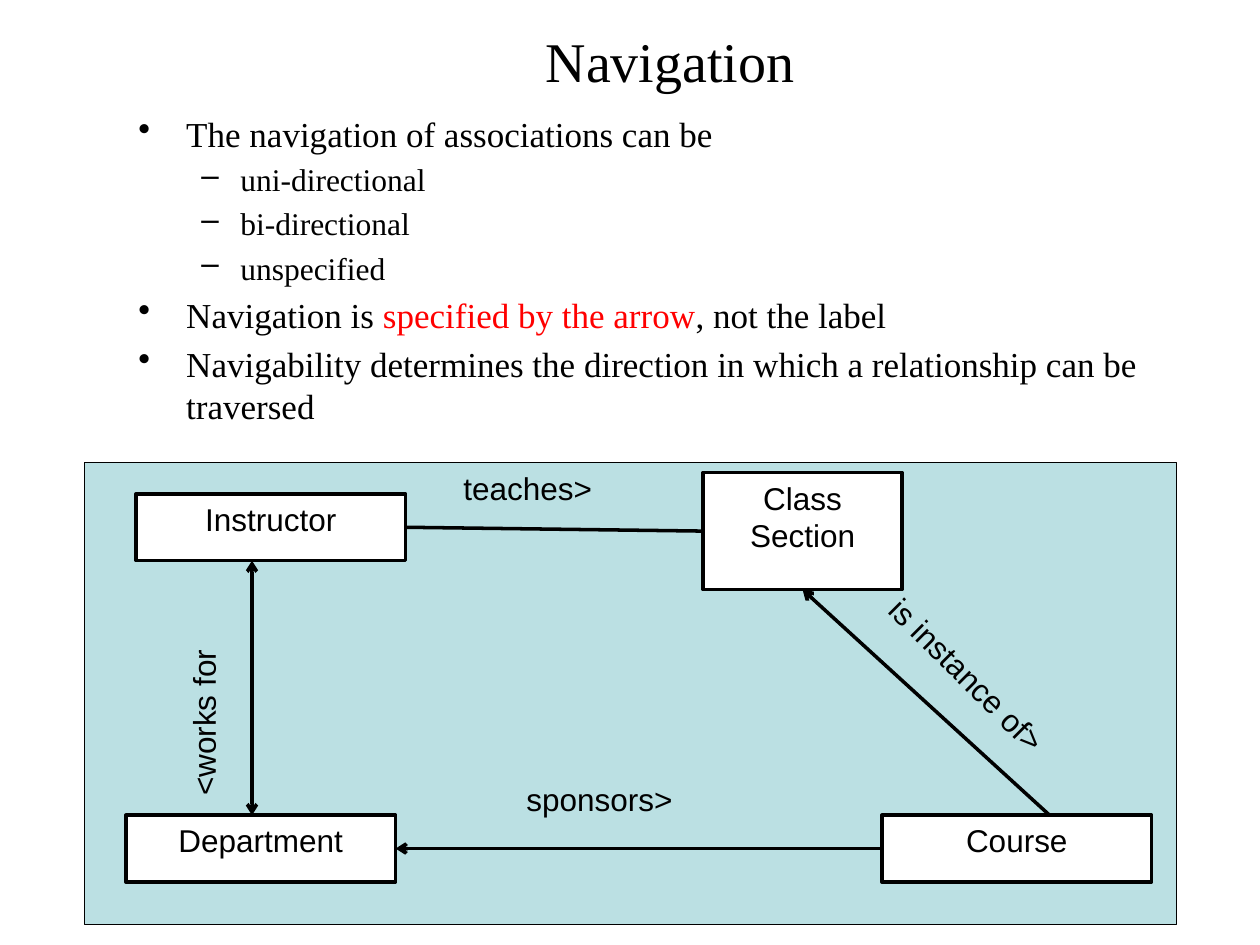
from lxml import etree
from pptx import Presentation
from pptx.dml.color import RGBColor
from pptx.enum import shapes, text
from pptx.oxml.ns import qn
from pptx.util import Inches, Pt

BLACK = RGBColor(0x00, 0x00, 0x00)
WHITE = RGBColor(0xFF, 0xFF, 0xFF)
RED = RGBColor(0xFF, 0x00, 0x00)
PALE_TEAL = RGBColor(0xBB, 0xE0, 0xE3)
SERIF, SANS = "Times New Roman", "Arial"
TOP, LEFT, BOTTOM, RIGHT = range(4)

# Content: bullets are (level, [(words, colour), ...])
TITLE = "Navigation"
BULLETS = [
    (0, [("The navigation of associations can be", BLACK)]),
    (1, [("uni-directional", BLACK)]),
    (1, [("bi-directional", BLACK)]),
    (1, [("unspecified", BLACK)]),
    (0, [("Navigation is ", BLACK), ("specified by the arrow", RED),
         (", not the label", BLACK)]),
    (0, [("Navigability determines the direction in which a relationship "
          "can be traversed", BLACK)]),
]
# Per level: bullet, size, left margin, hanging indent
LEVELS = [("•", 20, 0.38, 0.38), ("–", 18, 0.81, 0.31)]

CLASSES = {  # name: left, top, width, height
    "Class Section": (5.58, 3.75, 1.58, 0.93),
    "Course": (7, 6.47, 2.14, 0.53),
    "Instructor": (1.08, 3.92, 2.14, 0.53),
    "Department": (1, 6.47, 2.14, 0.53),
}
# Each end is a point or a (class, side) pair; then the ends with arrowheads
ASSOCIATIONS = [
    (("Class Section", LEFT), ("Instructor", RIGHT), ()),
    (("Course", LEFT), ("Department", RIGHT), ("tailEnd",)),
    ((2, 4.45), (2, 6.47), ("headEnd", "tailEnd")),
    ((8.33, 6.47), ("Class Section", BOTTOM), ("tailEnd",)),
]
LABELS = [  # words, left, top, width, rotation
    ("teaches>", 3.58, 3.67, 1.56, 0),
    ("sponsors>", 4.08, 6.14, 1.75, 0),
    ("<works for", 0.79, 5.29, 1.75, 270),
    ("is instance of>", 6.66, 5.33, 2.34, 44.9),
]


def set_font(font, name, size, colour=BLACK):
    font.name, font.size = name, Pt(size)
    font.color.rgb = colour


def add_text(page, place, words="", name=SANS, size=18):
    box = page.shapes.add_textbox(*map(Inches, place))
    box.text_frame.word_wrap = True
    para = box.text_frame.paragraphs[0]
    para.text = words
    set_font(para.font, name, size)
    return box


def add_rectangle(page, place, fill, line_width):
    box = page.shapes.add_shape(shapes.MSO_SHAPE.RECTANGLE, *map(Inches, place))
    box.shadow.inherit = False
    box.fill.solid()
    box.fill.fore_color.rgb = fill
    box.line.color.rgb = BLACK
    box.line.width = Pt(line_width)
    return box


def add_bullets(frame):
    for index, (level, runs) in enumerate(BULLETS):
        bullet, size, margin, hang = LEVELS[level]
        para = frame.add_paragraph() if index else frame.paragraphs[0]
        para.level = level
        para.space_before = Pt(size * 0.2)
        props = para._p.get_or_add_pPr()
        props.set("marL", str(Inches(margin)))
        props.set("indent", str(-Inches(hang)))
        etree.SubElement(props, qn("a:buChar"), char=bullet)
        for words, colour in runs:
            span = para.add_run()
            span.text = words
            set_font(span.font, SERIF, size, colour)


def add_association(page, boxes, start, end, arrows):
    line = page.shapes.add_connector(shapes.MSO_CONNECTOR.STRAIGHT, 0, 0, 0, 0)
    if start[0] in boxes:
        line.begin_connect(boxes[start[0]], start[1])
    else:
        line.begin_x, line.begin_y = map(Inches, start)
    if end[0] in boxes:
        line.end_connect(boxes[end[0]], end[1])
    else:
        line.end_x, line.end_y = map(Inches, end)
    line.line.color.rgb = BLACK
    line.line.width = Pt(2)
    for arrow in arrows:
        etree.SubElement(line.line._get_or_add_ln(), qn("a:" + arrow), type="arrow")
    etree.SubElement(line._element.spPr, qn("a:effectLst"))


def main():
    deck = Presentation()
    deck.slide_width, deck.slide_height = Inches(10), Inches(7.5)
    page = deck.slides.add_slide(deck.slide_layouts[6])

    # Title and bullets
    title = add_text(page, (1, 0, 8.64, 0.95), TITLE, SERIF, 32).text_frame
    title.vertical_anchor = text.MSO_ANCHOR.MIDDLE
    title.paragraphs[0].alignment = text.PP_ALIGN.CENTER
    add_bullets(add_text(page, (1, 0.84, 8.67, 2.66)).text_frame)

    # Diagram: panel, classes, associations, labels
    add_rectangle(page, (0.67, 3.67, 8.67, 3.67), PALE_TEAL, 0.75)
    boxes = {}
    for name, place in CLASSES.items():
        box = boxes[name] = add_rectangle(page, place, WHITE, 2)
        box.text_frame.vertical_anchor = text.MSO_ANCHOR.TOP
        para = box.text_frame.paragraphs[0]
        para.text = name
        para.alignment = text.PP_ALIGN.CENTER
        set_font(para.font, SANS, 18)
    for start, end, arrows in ASSOCIATIONS:
        add_association(page, boxes, start, end, arrows)
    for words, left, top, width, rotation in LABELS:
        add_text(page, (left, top, width, 0.5), words).rotation = rotation

    deck.save("out.pptx")


if __name__ == "__main__":
    main()
